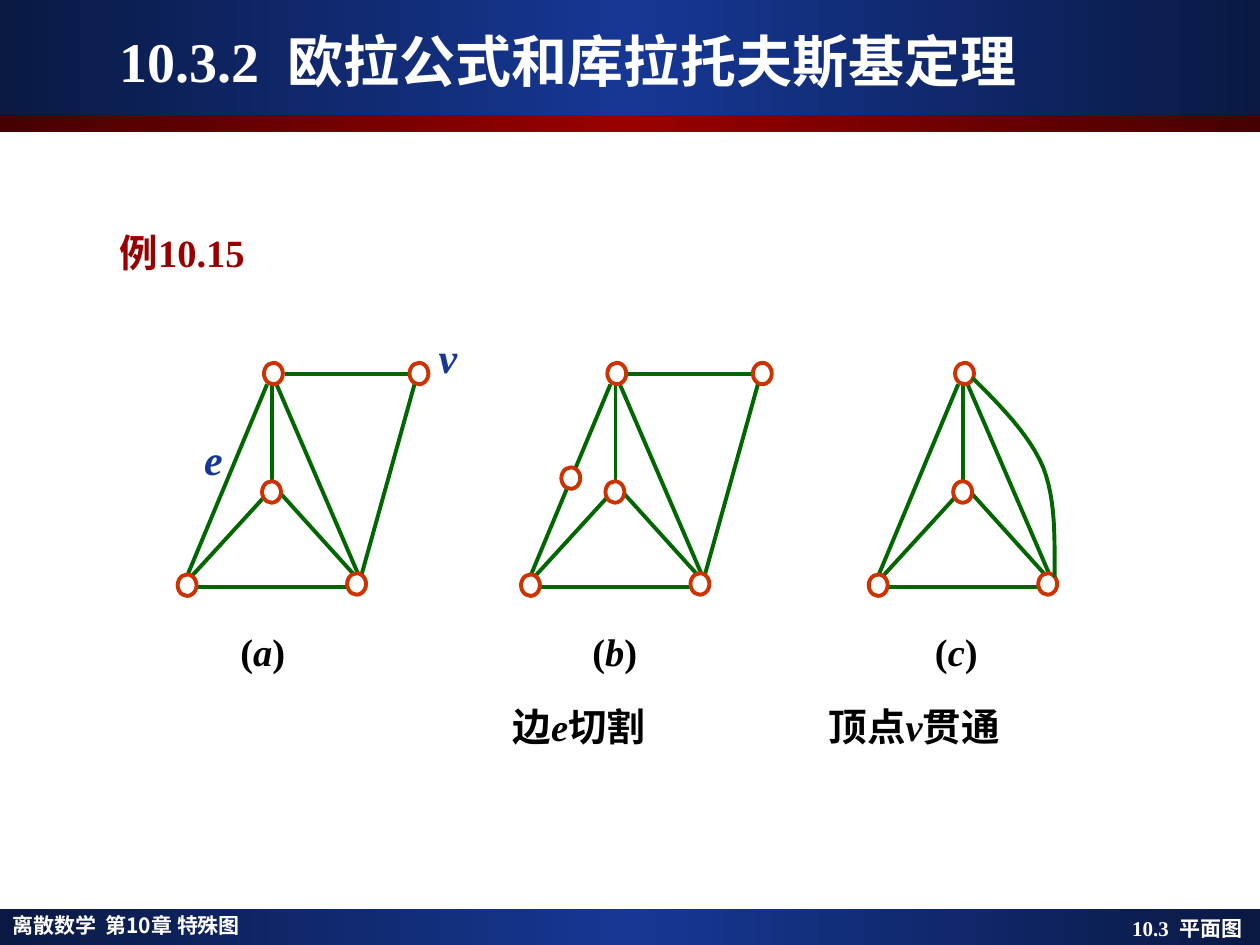
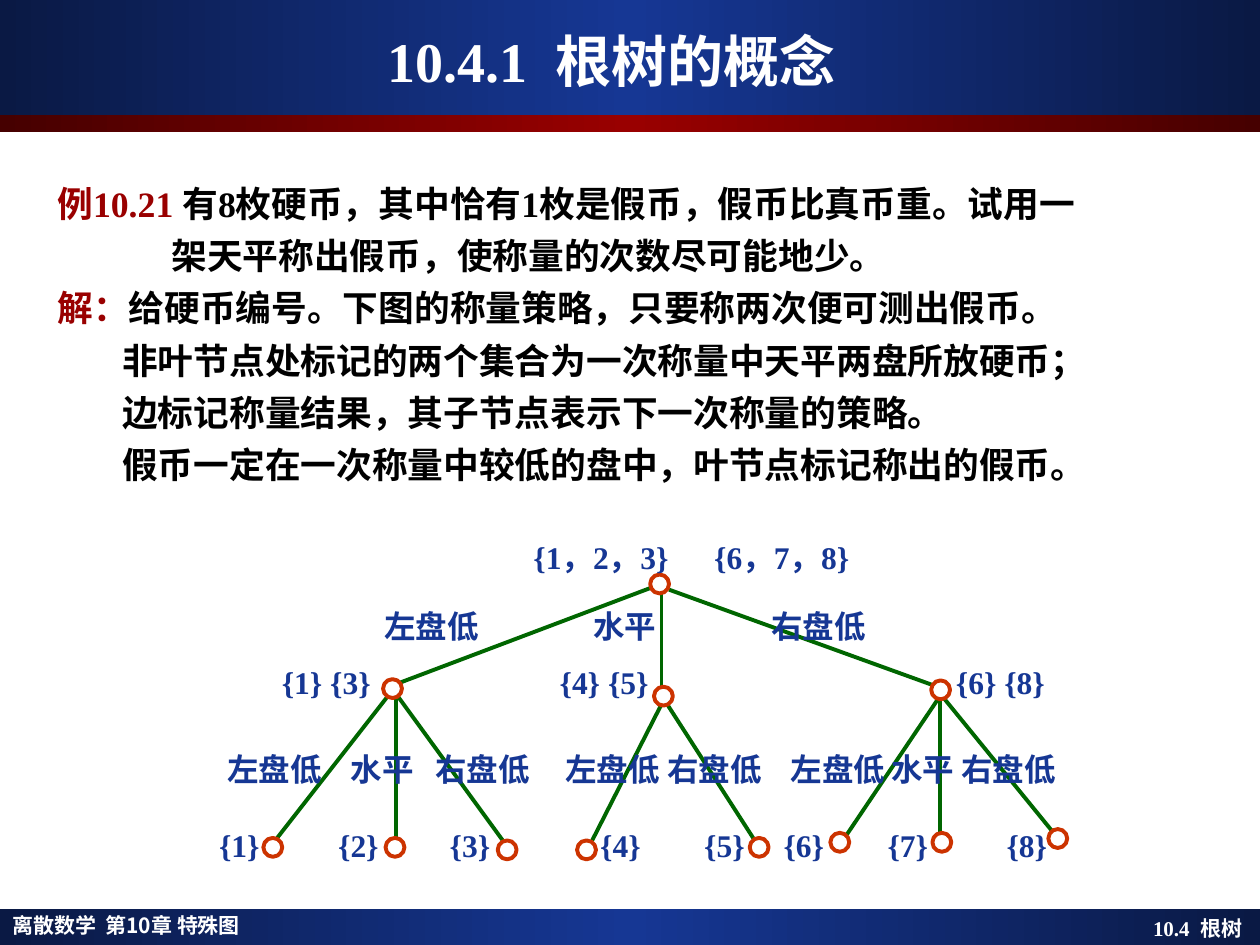
from copy import deepcopy
from dataclasses import dataclass

from lxml import etree
from pptx import Presentation
from pptx import util as u
from pptx.dml.color import RGBColor
from pptx.enum import shapes, text
from pptx.oxml.ns import qn


@dataclass(frozen=True)
class Theme:
    latin: str = "Times New Roman"
    cjk: str = "Noto Sans CJK JP"
    navy: str = "0A1944"
    blue: str = "163794"
    maroon: str = "460000"
    red: str = "990000"
    green: str = "006600"
    orange: str = "CC3300"
    white: str = "FFFFFF"
    black: str = "000000"
    title: float = 32
    symbol: float = 24
    example: float = 22
    body: float = 20.4
    tree: float = 18
    footer: float = 12
    stroke: float = 2.25


theme = Theme()
LEFT, CENTER, RIGHT = text.PP_ALIGN.LEFT, text.PP_ALIGN.CENTER, text.PP_ALIGN.RIGHT

prs = Presentation()
prs.slide_width, prs.slide_height = u.Inches(10), u.Inches(7.5)
cell = prs.slide_width // 100  # the grid has 100 columns and 75 rows


def write(paragraph, runs, size, color=theme.black, face=theme.latin):
    """Add runs of (text, changes); a change "gap" widens a space by points."""
    for words, changes in runs:
        run = paragraph.add_run()
        run.text = words
        look = {"name": face, "size": u.Pt(size), "bold": True,
                "italic": changes.get("italic", False)}
        for key, value in look.items():
            setattr(run.font, key, value)
        run.font.color.rgb = RGBColor.from_string(changes.get("color", color))
        props = run.font._element
        etree.SubElement(props, qn("a:ea")).set("typeface", theme.cjk)
        if "gap" in changes:
            props.set("spc", str(int(changes["gap"] * 100)))


def label(slide, x, middle, runs, size, align=CENTER, width=20, **style):
    """Place one line of text; x is its left edge, centre or right edge."""
    height = size / 4
    left = x - {LEFT: 0, CENTER: width / 2, RIGHT: width}[align]
    box = slide.shapes.add_textbox(*(int(n * cell) for n in (left, middle - height / 2, width, height)))
    frame = box.text_frame
    layout = {"word_wrap": True, "vertical_anchor": text.MSO_ANCHOR.MIDDLE, "margin_left": 0,
              "margin_right": 0, "margin_top": 0, "margin_bottom": 0}
    for key, value in layout.items():
        setattr(frame, key, value)
    frame.paragraphs[0].alignment = align
    write(frame.paragraphs[0], runs, size, **style)
    return box


# Slides with title and section footer
pages = [  # layout, section number, heading, room at right, footer number, footer name
    (5, "10.3.2", "欧拉公式和库拉托夫斯基定理", 9.9, "10.3", "平面图"),
    (1, "10.4.1", "根树的概念", 3, "10.4", "根树"),
]
slides = []
for layout, number, heading, room, section, topic in pages:
    slide = prs.slides.add_slide(prs.slide_layouts[layout])
    title = slide.shapes.title
    title.left, title.top, title.width, title.height = (int(n * cell) for n in (3.3, 1.7, 92.5, 6.2))
    frame = title.text_frame
    for key, value in {"auto_size": text.MSO_AUTO_SIZE.NONE, "word_wrap": True,
                       "vertical_anchor": text.MSO_ANCHOR.MIDDLE, "margin_left": cell,
                       "margin_right": int(room * cell)}.items():
        setattr(frame, key, value)
    frame.paragraphs[0].alignment = CENTER
    write(frame.paragraphs[0], [(number, {}), (" ", {"gap": theme.title / 4}), (heading, {})],
          theme.title, theme.white)
    label(slide, 98.6, 73.65, [(section, {}), (" ", {"gap": theme.footer / 4}), (topic, {})],
          theme.footer, RIGHT, color=theme.white)
    slides.append(slide)
planar, rooted = slides

# Bands and course name, moved to the master
bands = [(72.15, 2.85, theme.navy, theme.blue), (0, 9.15, theme.navy, theme.blue),
         (9.15, 1.3, theme.maroon, theme.red)]
shared = []
for top, height, edge, core in bands:
    band = planar.shapes.add_shape(shapes.MSO_SHAPE.RECTANGLE, 0, int(top * cell),
                                   prs.slide_width, int(height * cell))
    band.shadow.inherit = False
    band.line.fill.background()
    band.fill.gradient()
    band.fill.gradient_angle = 0
    stops = band._element.spPr.find(".//" + qn("a:gsLst"))
    stops.insert(1, deepcopy(stops[0]))
    for stop, place, color in zip(band.fill.gradient_stops, (0, 0.5, 1), (edge, core, edge)):
        stop.position = place
        stop.color.rgb = RGBColor.from_string(color)
    shared.append(band)
course = [("离散数学", {}), (" ", {"gap": theme.footer / 5}), ("第10章 特殊图", {})]
shared.append(label(planar, 1, 73.4, course, theme.footer, LEFT, 40,
                    color=theme.white, face=theme.cjk))
for order, part in enumerate(shared):
    part._element.nvSpPr.cNvPr.set("id", str(20 + order))
    prs.slide_master.shapes._spTree.insert(2 + order, part._element)

# Planar graphs: (a), (b) with e subdivided, (c) with v smoothed away
corners = [(21.7, 29.65), (14.85, 46.45), (28.3, 46.35), (21.55, 39.05)]
spokes = [(21.6, 30.4, 21.6, 38.3), (15.6, 46.6, 27.8, 46.6), (21.1, 39.3, 15.2, 45.75),
          (22.3, 39.2, 28, 45.5), (21.2, 30.5, 14.9, 45.6), (21.9, 30.4, 28.4, 45.5)]
far = [(33.25, 29.65)]
far_edges = [(22.6, 29.7, 32.4, 29.7), (32.9, 30.5, 28.7, 45.6)]
split = [(18.05, 37.95)]
panels = [(0, corners + far, spokes + far_edges),
          (27.25, corners + far + split, spokes + far_edges),
          (54.85, corners, spokes)]
diagrams = [(planar, 1.7, [(x + shift, y) for x, y in nodes],
             [(x1 + shift, y1, x2 + shift, y2) for x1, y1, x2, y2 in edges])
            for shift, nodes, edges in panels]

# Weighing tree: root, second weighings, coins; edges level by level
weighings = [(52.35, 46.35), (31.15, 54.65), (52.65, 55.25), (74.65, 54.75)]
coins = [(21.65, 67.25), (31.35, 67.25), (40.25, 67.45), (46.55, 67.45),
         (60.25, 67.25), (66.65, 66.85), (74.75, 66.85), (83.95, 66.55)]
first = [(51.8, 46.6, 31.7, 54.2), (52.5, 47.1, 52.5, 54.6), (53.1, 46.8, 74.1, 54.4)]
second = [(30.9, 55.1, 22, 66.5), (31.4, 55.3, 31.4, 66.6), (31.6, 55.3, 39.9, 66.7),
          (52.5, 55.9, 47, 66.7), (52.7, 55.5, 59.9, 66.7),
          (74.5, 55.4, 67.1, 66.4), (74.6, 55.3, 74.6, 66.6), (74.9, 55.4, 83.7, 66.2)]
diagrams.append((rooted, 1.5, weighings + coins, first + second))

# Edges first, nodes above them
for slide, tall, nodes, edges in diagrams:
    for ends in edges:
        edge = slide.shapes.add_connector(shapes.MSO_CONNECTOR.STRAIGHT,
                                          *(int(n * cell) for n in ends))
        edge.line.color.rgb = RGBColor.from_string(theme.green)
        edge.line.width = u.Pt(theme.stroke)
        etree.SubElement(edge._element.spPr, qn("a:effectLst"))
    for x, y in nodes:
        node = slide.shapes.add_shape(
            shapes.MSO_SHAPE.OVAL,
            *(int(n * cell) for n in (x - 0.75, y - tall / 2, 1.5, tall)))
        node.shadow.inherit = False
        node.fill.solid()
        node.fill.fore_color.rgb = RGBColor.from_string(theme.white)
        node.line.color.rgb = RGBColor.from_string(theme.orange)
        node.line.width = u.Pt(theme.stroke)

# Curved edge of (c), two Bézier pieces sampled in steps
pieces = [((77.2, 30), (79.4, 32.2), (81.7, 34.5), (82.8, 37.1)),
          ((82.8, 37.1), (83.8, 39.7), (83.7, 42.7), (83.7, 45.8))]
steps = 12
bend = []
for piece in pieces:
    for t in (n / steps for n in range(1, steps + 1)):
        weights = ((1 - t) ** 3, 3 * t * (1 - t) ** 2, 3 * t * t * (1 - t), t ** 3)
        bend.append(tuple(int(cell * sum(w * p[axis] for w, p in zip(weights, piece)))
                          for axis in (0, 1)))
start_x, start_y = (int(n * cell) for n in pieces[0][0])
outline = planar.shapes.build_freeform(start_x, start_y)
outline.add_line_segments(bend, close=False)
curve = outline.convert_to_shape()
curve.shadow.inherit = False
curve.fill.background()
curve.line.color.rgb = RGBColor.from_string(theme.green)
curve.line.width = u.Pt(theme.stroke)

# Words around the planar graphs
italic = {"italic": True}
label(planar, 9.5, 20, [("例10.15", {})], theme.example, LEFT, color=theme.red)
for x, letter in ((20.85, "a"), (48.8, "b"), (75.9, "c")):
    label(planar, x, 51.65, [("(", {}), (letter, italic), (")", {})], theme.example)
for x, before, symbol, after in ((45.95, "边", "e", "切割"), (72.55, "顶点", "v", "贯通")):
    label(planar, x, 57.65, [(before, {}), (symbol, italic), (after, {})], theme.example)
for x, y, symbol in ((16.95, 36.4, "e"), (35.55, 28.35, "v")):
    label(planar, x, y, [(symbol, italic)], theme.symbol, width=4, color=theme.blue)

# Coin problem and solution
red = {"color": theme.red}
lines = [  # indent, runs
    (0, [("例10.21 ", red), ("有8枚硬币，其中恰有1枚是假币，假币比真币重。试用一", {})]),
    (9.05, [("架天平称出假币，使称量的次数尽可能地少。", {})]),
    (0, [("解：", red), ("给硬币编号。下图的称量策略，只要称两次便可测出假币。", {})]),
    (5.15, [("非叶节点处标记的两个集合为一次称量中天平两盘所放硬币；", {})]),
    (5.15, [("边标记称量结果，其子节点表示下一次称量的策略。", {})]),
    (5.15, [("假币一定在一次称量中较低的盘中，叶节点标记称出的假币。", {})]),
]
problem = rooted.placeholders[1]
problem.left, problem.top, problem.width, problem.height = (
    int(n * cell) for n in (3.55, 13.9, 93.7, 27.6))
frame = problem.text_frame
for key, value in {"auto_size": text.MSO_AUTO_SIZE.NONE, "word_wrap": True, "margin_left": cell,
                   "margin_top": cell // 2, "vertical_anchor": text.MSO_ANCHOR.TOP}.items():
    setattr(frame, key, value)
for index, (indent, runs) in enumerate(lines):
    paragraph = frame.add_paragraph() if index else frame.paragraphs[0]
    props = paragraph._element.get_or_add_pPr()
    props.set("marL", str(int(indent * cell)))
    props.set("indent", "0")
    etree.SubElement(props, qn("a:buNone"))
    paragraph.line_spacing = 1.0
    paragraph.space_before = u.Pt(5.4 if index else 0)
    write(paragraph, runs, theme.body)

# Words on the weighing tree, row by row
down, even, up = "左盘低", "水平", "右盘低"
rows = [
    (44.2, {47.7: "{1，2，3}", 62.05: "{6，7，8}"}),
    (49.7, {34.25: down, 49.6: even, 64.95: up}),
    (54.15, {25.9: "{1} {3}", 47.95: "{4} {5}", 79.4: "{6} {8}"}),
    (61, {21.8: down, 30.35: even, 38.3: up, 48.6: down, 56.7: up,
          66.5: down, 73.25: even, 80.05: up}),
    (67.05, {x: f"{{{coin}}}" for coin, x in
             enumerate((19, 28.45, 37.3, 49.25, 57.5, 63.8, 72.05, 81.5), 1)}),
]
for middle, words in rows:
    for x, word in words.items():
        label(rooted, x, middle, [(word, {})], theme.tree, color=theme.blue)

prs.save("out.pptx")
